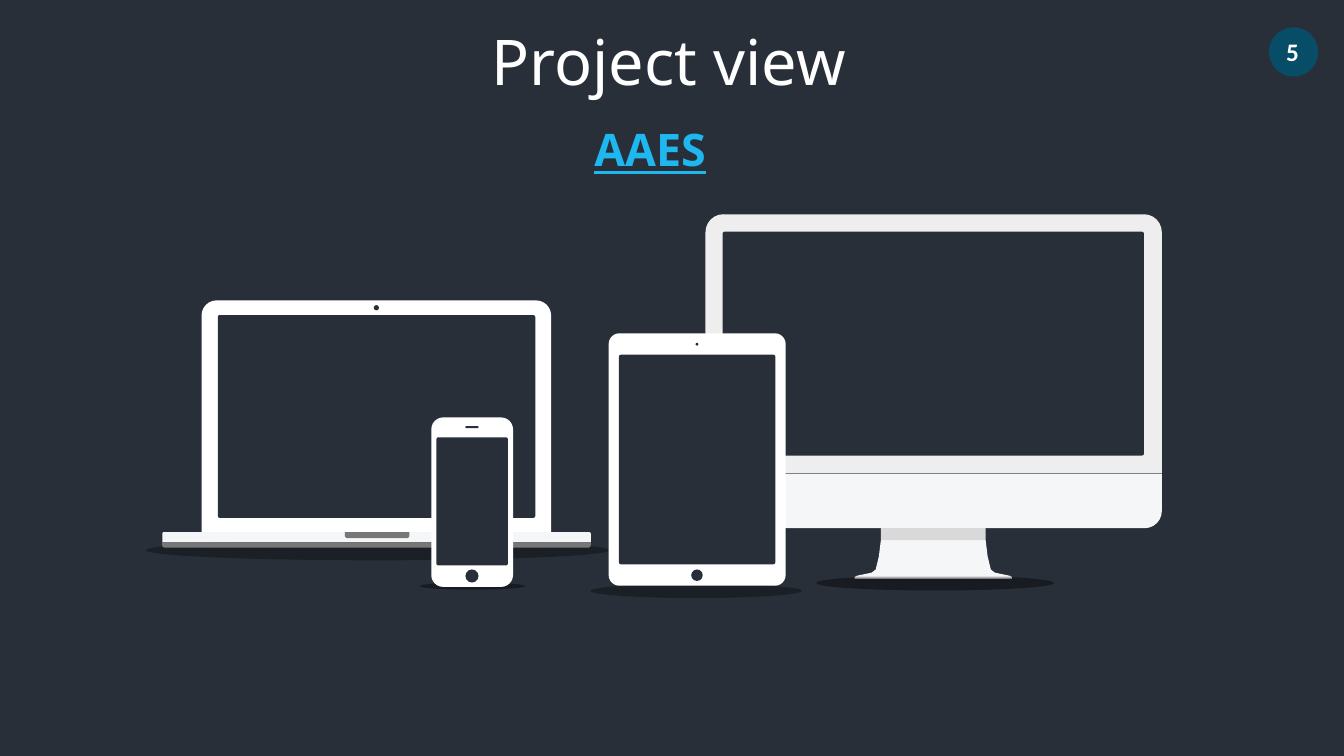
from pptx import Presentation
from pptx.dml.color import RGBColor
from pptx.enum.shapes import MSO_SHAPE as Kind
from pptx.enum.text import MSO_ANCHOR as Anchor, MSO_AUTO_SIZE as Fit, PP_ALIGN as Align
from pptx.oxml.ns import qn
from pptx.util import Cm, Pt
from lxml import etree

DARK = RGBColor(0x28, 0x2F, 0x39)
WHITE = RGBColor(0xFF, 0xFF, 0xFF)
CYAN = RGBColor(0x1E, 0xB7, 0xEF)
TEAL = RGBColor(0x07, 0x4D, 0x67)
PALE = RGBColor(0xF5, 0xF6, 0xF8)
BEZEL = RGBColor(0xEE, 0xEE, 0xEE)
NECK = RGBColor(0xD9, 0xD9, 0xD9)
EDGE = RGBColor(0xB2, 0xB2, 0xB2)
GREY = RGBColor(0x77, 0x77, 0x77)
BLACK = RGBColor(0, 0, 0)


def paint(shape, color):
    shape.shadow.inherit = False
    shape.fill.solid()
    shape.fill.fore_color.rgb = color
    shape.line.fill.background()
    return shape


def oval(shapes, x, y, w, h, color):
    return paint(shapes.add_shape(Kind.OVAL, Cm(x), Cm(y), Cm(w), Cm(h)), color)


def shade(shapes, x, y, w, h, alpha):
    """Draw the see-through shadow on the ground; alpha is in percent."""
    shape = oval(shapes, x, y, w, h, BLACK)
    tone = shape.fill._xPr.find(qn("a:solidFill"))[0]
    etree.SubElement(tone, qn("a:alpha")).set("val", str(alpha * 1000))


def panel(shapes, x, y, w, h, color, top=0.0, base=0.0):
    """Draw a box whose top and base corners have the given radii in cm."""
    kind = Kind.ROUND_2_SAME_RECTANGLE if top or base else Kind.RECTANGLE
    shape = paint(shapes.add_shape(kind, Cm(x), Cm(y), Cm(w), Cm(h)), color)
    if top or base:
        shape.adjustments[0] = top / min(w, h)
        shape.adjustments[1] = base / min(w, h)


def screen(shapes, x, y, w, h):
    panel(shapes, x, y, w, h, DARK, 0.05, 0.05)


def write(shape, box, text, size, font, color, bold=False, line=False, align=Align.CENTER):
    shape.left, shape.top, shape.width, shape.height = (Cm(n) for n in box)
    frame = shape.text_frame
    frame.word_wrap = True
    frame.auto_size = Fit.NONE
    frame.vertical_anchor = Anchor.TOP
    para = frame.paragraphs[0]
    para.alignment = align
    para.space_before = Pt(0)
    run = para.add_run()
    run.text = text
    run.font.name, run.font.size = font, Pt(size)
    run.font.bold, run.font.underline = bold, line
    run.font.color.rgb = color
    return para


def laptop(shapes):
    shade(shapes, 3.68, 13.61, 11.68, 0.51, 30)
    panel(shapes, 5.08, 7.57, 8.81, 5.84, WHITE, top=0.38)
    screen(shapes, 5.49, 7.94, 8, 5.11)
    oval(shapes, 9.42, 7.69, 0.13, 0.13, DARK)
    panel(shapes, 4.09, 13.41, 10.8, 0.26, PALE, top=0.04)
    panel(shapes, 4.09, 13.67, 10.8, 0.13, GREY, base=0.06)
    panel(shapes, 8.69, 13.41, 1.63, 0.15, GREY, base=0.07)


def phone(shapes):
    shade(shapes, 10.57, 14.68, 2.67, 0.18, 40)
    panel(shapes, 10.87, 10.52, 2.06, 4.27, WHITE, 0.3, 0.3)
    screen(shapes, 11, 11.02, 1.8, 3.23)
    panel(shapes, 11.73, 10.74, 0.33, 0.05, DARK, 0.02, 0.02)
    oval(shapes, 11.73, 14.35, 0.33, 0.33, DARK)


def foot(shapes):
    """Draw the flared stand as a half outline and its mirror."""
    mid = 23.52
    half = [(1.32, 13.61), (1.37, 14.02), (1.45, 14.35), (1.55, 14.43),
            (1.93, 14.51), (1.98, 14.55)]
    dots = [(Cm(mid + dx), Cm(y)) for dx, y in half]
    dots += [(Cm(mid - dx), Cm(y)) for dx, y in reversed(half)]
    pen = shapes.build_freeform(*dots[0])
    pen.add_line_segments(dots[1:], close=True)
    paint(pen.convert_to_shape(), PALE)


def desktop(shapes):
    shade(shapes, 20.57, 14.5, 5.99, 0.38, 40)
    panel(shapes, 17.78, 11.94, 11.5, 1.37, PALE, base=0.43)
    panel(shapes, 17.78, 5.4, 11.5, 6.53, BEZEL, top=0.45)
    screen(shapes, 18.21, 5.84, 10.62, 5.64)
    foot(shapes)
    panel(shapes, 22.2, 13.31, 2.64, 0.3, NECK)
    panel(shapes, 21.54, 14.53, 3.96, 0.05, EDGE)


def tablet(shapes):
    shade(shapes, 14.88, 14.71, 5.33, 0.36, 30)
    panel(shapes, 15.34, 8.4, 4.46, 6.36, WHITE, 0.27, 0.27)
    screen(shapes, 15.6, 8.94, 3.94, 5.28)
    oval(shapes, 17.53, 8.64, 0.07, 0.07, DARK)
    oval(shapes, 17.42, 14.35, 0.29, 0.29, DARK)


def main():
    deck = Presentation()
    deck.slide_width, deck.slide_height = Cm(33.87), Cm(19.05)
    slide = deck.slides.add_slide(deck.slide_layouts[0])
    slide.background.fill.solid()
    slide.background.fill.fore_color.rgb = DARK
    shapes = slide.shapes

    title, link = slide.placeholders
    head = write(title, (7.59, 0.66, 18.52, 2.18), "Project view", 45, "Noto Sans", WHITE)
    name = write(link, (1.83, 3.1, 29.11, 1.63), "AAES", 32, "Noto Sans", CYAN, True, True)
    head.line_spacing = name.line_spacing = 0.9

    for draw in (laptop, phone, desktop, tablet):
        draw(shapes.add_group_shape().shapes)

    oval(shapes, 31.98, 0.69, 1.24, 1.24, TEAL)
    box = (32.16, 0.79, 1.7, 1.02)
    page = shapes.add_textbox(0, 0, 0, 0)
    write(page, box, "5", 18, "Calibri", WHITE, True, align=Align.LEFT)
    deck.save("out.pptx")


if __name__ == "__main__":
    main()
